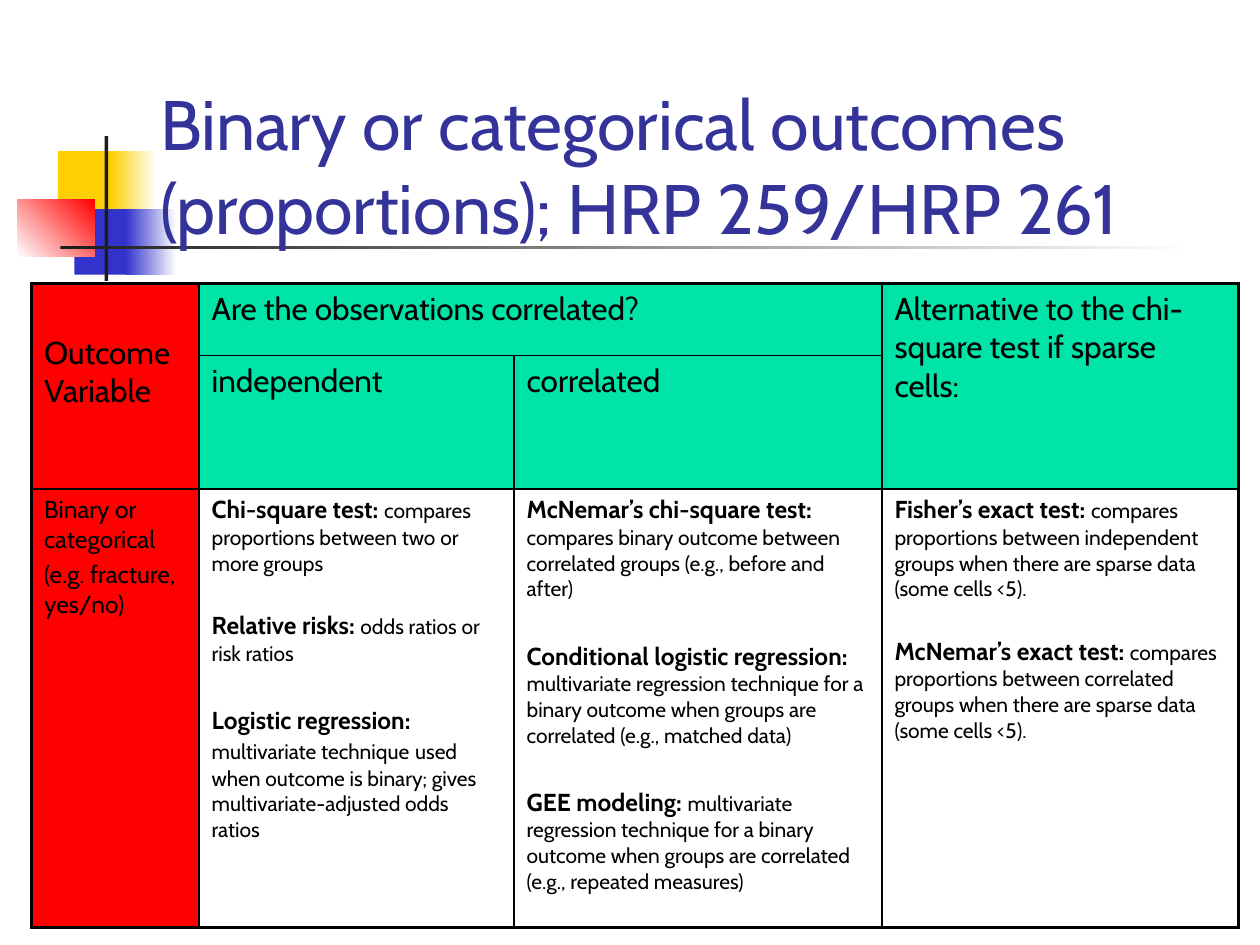
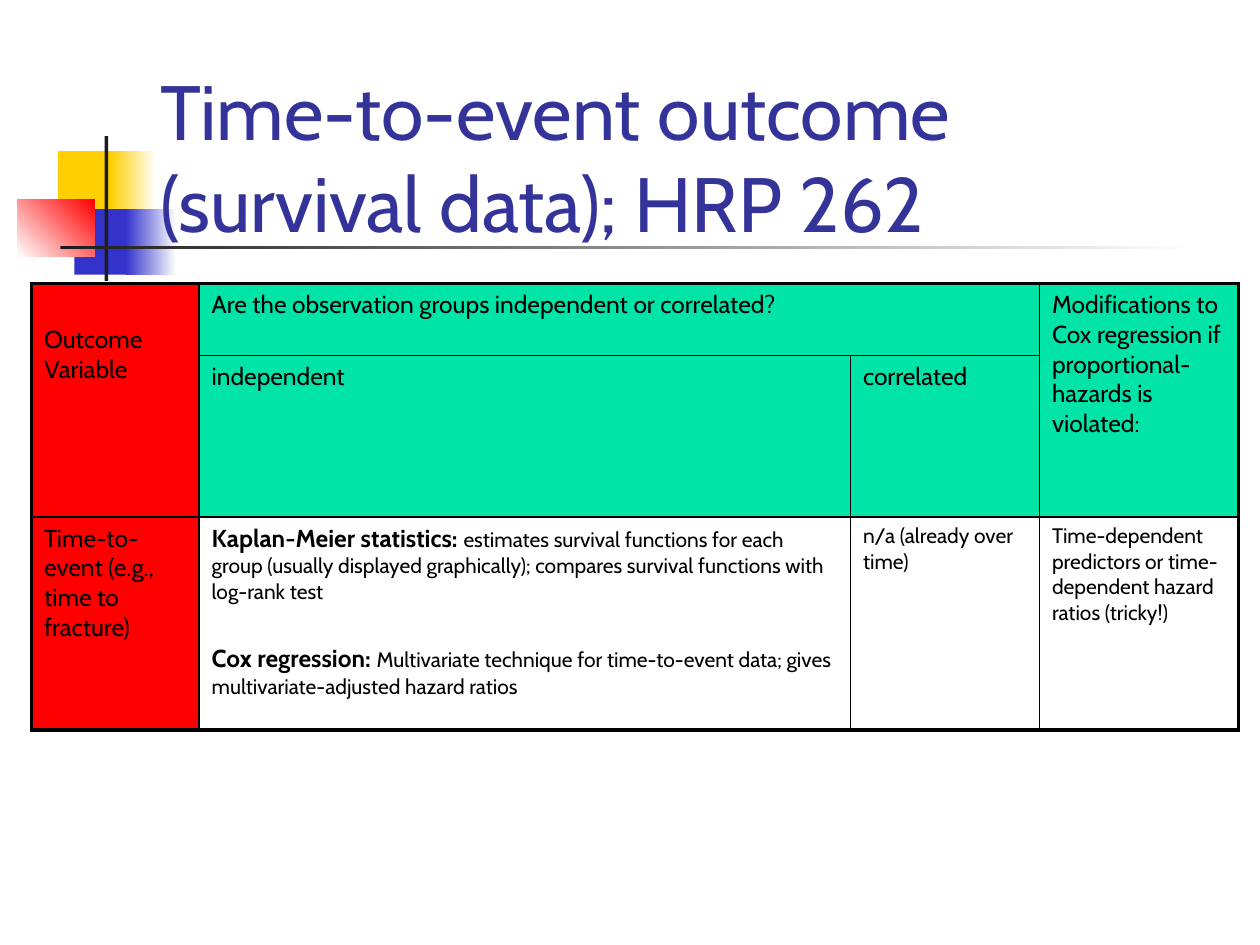
from lxml.etree import SubElement
from pptx import Presentation
from pptx.dml.color import RGBColor
from pptx.enum.shapes import MSO_SHAPE
from pptx.enum.text import MSO_ANCHOR, MSO_AUTO_SIZE, PP_ALIGN
from pptx.oxml.ns import qn
from pptx.util import Pt

SCALE = 9144  # EMU in one px, 100 px to the inch
FONT = "Cabin"
COLORS = {
    "title": "333399", "text": "000000", "border": "000000", "white": "FFFFFF",
    "yellow": "FFCF01", "blue": "3333CC", "red": "FF0000", "dark": "1C1C1C",
    "heading": "00E4A8",
}
# Left, top, width, height, one colour or the two ends of a gradient, angle
ORNAMENT = [
    (46, 120, 48, 52, ["yellow"], 0),
    (88, 120, 36, 52, ["yellow", "white"], 0),
    (59, 166, 46, 52, ["blue"], 0),
    (100, 166, 40, 52, ["blue", "white"], 0),
    (14, 158, 61, 46, ["white", "red"], 45),
    (83, 108, 3, 115, ["dark"], 0),
    (48, 195, 900, 3, ["dark", "white"], 0),
]
HEAD, BODY = 14, 12
THIN, THICK = 1, 2.25


def px(length):
    return length * SCALE


def color(name):
    return RGBColor.from_string(COLORS[name])


def blank_line(size):
    """Height in points of a skipped line, with 20 % spacing on both sides."""
    return round(size * 1.215 + 0.2 * (size + HEAD), 1)


def plain(text, size, gap=0):
    return gap, [(text, size, False)]


def method(name, *details, skipped=None):
    """A bold method name and its description; details may be (text, size)."""
    spans = [(name + ": ", HEAD, True)]
    for detail in details:
        text, size = detail if isinstance(detail, tuple) else (detail, BODY)
        spans.append((text, size, False))
    return blank_line(skipped) if skipped else 0, spans


class Builder:
    def __init__(self):
        self.deck = Presentation()
        self.deck.slide_width, self.deck.slide_height = px(1000), px(750)
        self.layout = self.deck.slide_layouts[5]
        title = self.layout.placeholders[0]
        title.left, title.top = px(117), px(42)
        title.width, title.height = px(852), px(160)
        self.page = None

    def add_page(self, title, size):
        first = self.page is None
        self.page = self.deck.slides.add_slide(self.layout)
        if first:
            self.decorate_layout()
        frame = self.page.shapes.title.text_frame
        frame.text = title
        frame.auto_size = MSO_AUTO_SIZE.NONE
        frame.vertical_anchor = MSO_ANCHOR.BOTTOM
        frame.paragraphs[0].alignment = PP_ALIGN.LEFT
        self.style(frame.paragraphs[0].font, "title", size)

    def style(self, font, name, size=None):
        font.name = FONT
        font.color.rgb = color(name)
        if size:
            font.size = Pt(size)

    def decorate_layout(self):
        """Draw the ornament once and hand it to the shared layout."""
        for number, (left, top, width, height, names, angle) in enumerate(ORNAMENT):
            box = self.add_box(left, top, width, height, names, angle)
            box.element.nvSpPr.cNvPr.id = 20 + number
            self.layout.shapes.element.append(box.element)

    def add_box(self, left, top, width, height, names, angle):
        box = self.page.shapes.add_shape(
            MSO_SHAPE.RECTANGLE, px(left), px(top), px(width), px(height))
        box.shadow.inherit = False
        box.line.fill.background()
        if len(names) == 1:
            box.fill.solid()
            box.fill.fore_color.rgb = color(names[0])
        else:
            box.fill.gradient()
            box.fill.gradient_angle = angle
            for stop, name in zip(box.fill.gradient_stops, names):
                stop.color.rgb = color(name)
        return box

    def add_table(self, widths, heights, heading_size, headings, entries):
        """Two heading rows (one merged across, two merged down) and one body row."""
        grid = self.page.shapes.add_table(
            3, 4, px(25), px(225), px(sum(widths)), px(sum(heights))).table
        grid.first_row = grid.horz_banding = False
        for column, width in zip(grid.columns, widths):
            column.width = px(width)
        for row, height in zip(grid.rows, heights):
            row.height = px(height)

        # Outer edges are thick, inner edges thin
        for row in range(3):
            for column in range(4):
                cell = grid.cell(row, column)
                outer = {"L": column == 0, "R": column == 3, "T": row == 0, "B": row == 2}
                self.set_borders(cell, outer)
                cell.fill.solid()
                name = "red" if column == 0 else "heading" if row < 2 else "white"
                cell.fill.fore_color.rgb = color(name)

        grid.cell(0, 0).merge(grid.cell(1, 0))
        grid.cell(0, 1).merge(grid.cell(0, 2))
        grid.cell(0, 3).merge(grid.cell(1, 3))
        places = [(0, 0), (0, 1), (0, 3), (1, 1), (1, 2)]
        for place, text in zip(places, headings):
            self.fill_cell(grid.cell(*place), [plain(text, heading_size)])
        # The first heading starts one line lower
        grid.cell(0, 0).margin_top = px(5 + round(heading_size * 1.415 / 72 * 100))
        for column, paragraphs in enumerate(entries):
            self.fill_cell(grid.cell(2, column), paragraphs)

    def set_borders(self, cell, outer):
        properties = cell._tc.get_or_add_tcPr()
        for side, is_outer in outer.items():
            line = SubElement(properties, qn("a:ln" + side),
                              w=str(Pt(THICK if is_outer else THIN)))
            fill = SubElement(line, qn("a:solidFill"))
            SubElement(fill, qn("a:srgbClr"), val=COLORS["border"])

    def fill_cell(self, cell, paragraphs):
        frame = cell.text_frame
        for number, (gap, spans) in enumerate(paragraphs):
            para = frame.add_paragraph() if number else frame.paragraphs[0]
            para.space_before = Pt(gap)
            if len(spans) == 1:
                self.style(para.font, "text", spans[0][1])
            else:
                self.style(para.font, "text")
            for text, size, bold in spans:
                span = para.add_run()
                span.text = text
                if len(spans) > 1:
                    span.font.size, span.font.bold = Pt(size), bold


def main():
    builder = Builder()

    # Binary outcomes
    builder.add_page("Binary or categorical outcomes (proportions); HRP 259/HRP 261", 40)
    builder.add_table(
        [133, 250, 292, 283], [57, 106, 348], 18,
        ["Outcome Variable", "Are the observations correlated?",
         "Alternative to the chi-square test if sparse cells:",
         "independent", "correlated"],
        [
            [plain("Binary or categorical", HEAD),
             plain("(e.g. fracture, yes/no)", HEAD, gap=2.8)],
            [method("Chi-square test", "compares proportions between two or more groups"),
             method("Relative risks", "odds ratios or risk ratios", skipped=BODY),
             method("Logistic regression", "multivariate technique", (" ", HEAD),
                    "used when outcome is binary; gives multivariate-adjusted odds ratios",
                    skipped=HEAD)],
            [method("McNemar’s chi-square test",
                    "compares binary outcome between correlated groups "
                    "(e.g., before and after)"),
             method("Conditional logistic regression",
                    "multivariate regression technique for a binary outcome "
                    "when groups are correlated (e.g., matched data)", skipped=HEAD),
             method("GEE modeling",
                    "multivariate regression technique for a binary outcome "
                    "when groups are correlated (e.g., repeated measures)", skipped=HEAD)],
            [method("Fisher’s exact test",
                    "compares proportions between independent groups "
                    "when there are sparse data (some cells <5)."),
             method("McNemar’s exact test",
                    "compares proportions between correlated groups "
                    "when there are sparse data (some cells <5).", skipped=BODY)],
        ])

    # Time-to-event outcomes
    builder.add_page("Time-to-event outcome (survival data); HRP 262", 44)
    builder.add_table(
        [133, 517, 150, 158], [57, 128, 169], 14,
        ["Outcome Variable", "Are the observation groups independent or correlated?",
         "Modifications to Cox regression if proportional-hazards is violated:",
         "independent", "correlated"],
        [
            [plain("Time-to-event (e.g., time to fracture)", HEAD)],
            [method("Kaplan-Meier statistics",
                    "estimates survival functions for each group (usually displayed "
                    "graphically); compares survival functions with log-rank test"),
             method("Cox regression",
                    "Multivariate technique for time-to-event data; "
                    "gives multivariate-adjusted hazard ratios", skipped=HEAD)],
            [plain("n/a (already over time)", BODY)],
            [plain("Time-dependent predictors or time-dependent hazard ratios (tricky!)",
                   BODY)],
        ])

    builder.deck.save("out.pptx")


if __name__ == "__main__":
    main()
